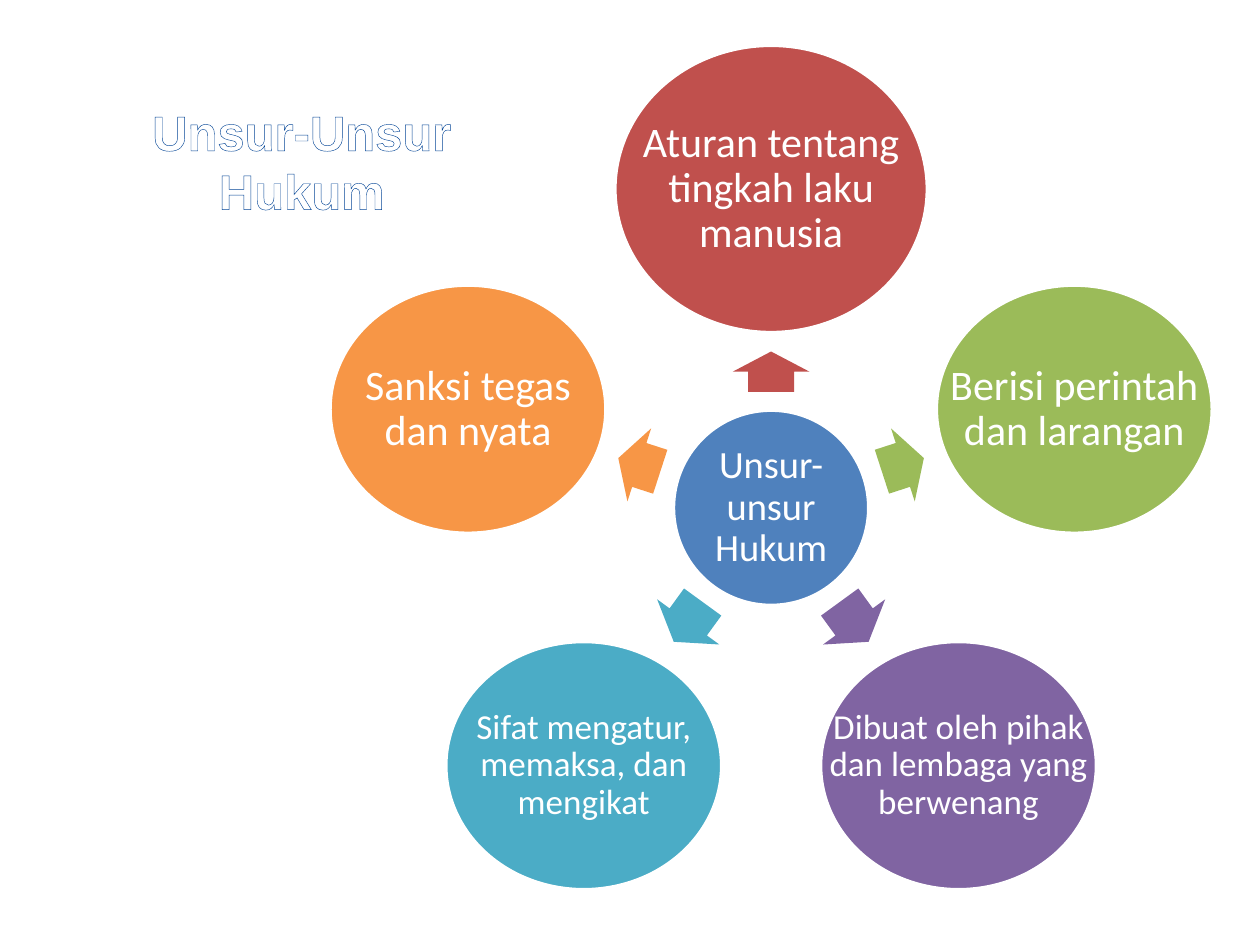
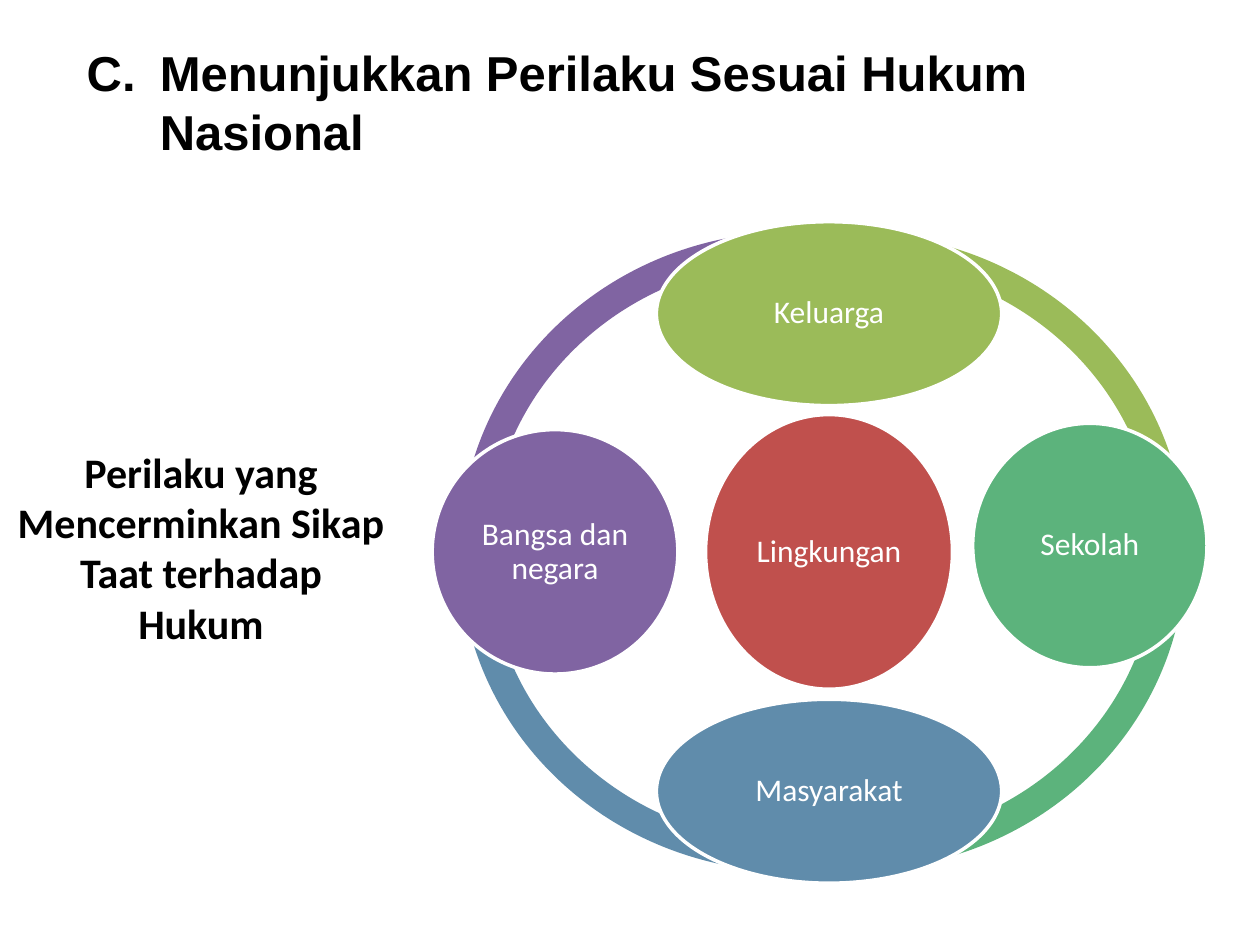
from math import cos, radians, sin

from lxml import etree
from pptx import Presentation
from pptx.dml.color import RGBColor
from pptx.enum.shapes import MSO_SHAPE as Shape
from pptx.enum.text import MSO_ANCHOR as Anchor, MSO_AUTO_SIZE as AutoSize, PP_ALIGN as Align
from pptx.oxml import parse_xml
from pptx.oxml.ns import nsdecls
from pptx.util import Inches, Pt

# Colours
WHITE = RGBColor(0xFF, 0xFF, 0xFF)
BLACK = RGBColor(0x00, 0x00, 0x00)
BLUE = RGBColor(0x4F, 0x81, 0xBD)
RED = RGBColor(0xC0, 0x50, 0x4D)
LIME = RGBColor(0x9B, 0xBB, 0x59)
PURPLE = RGBColor(0x80, 0x64, 0xA2)
AQUA = RGBColor(0x4B, 0xAC, 0xC6)
ORANGE = RGBColor(0xF7, 0x96, 0x46)
GREEN = RGBColor(0x5C, 0xB3, 0x7C)
STEEL = RGBColor(0x60, 0x8C, 0xAB)
OUTLINE = RGBColor(0x05, 0x46, 0x97)


def write(tf, text, size=18, font="Calibri", color=WHITE, bold=False,
          align=Align.CENTER, spacing=None, anchor=Anchor.MIDDLE, inset=None):
    """Fill a text frame with one formatted paragraph and return it."""
    tf.word_wrap = True
    tf.auto_size = AutoSize.NONE
    tf.vertical_anchor = anchor
    if inset is not None:
        tf.margin_left = tf.margin_right = tf.margin_top = tf.margin_bottom = Inches(inset)
    p = tf.paragraphs[0]
    p.alignment = align
    p.line_spacing = spacing
    r = p.add_run()
    r.text = text
    r.font.size, r.font.name, r.font.bold = Pt(size), font, bold
    r.font.color.rgb = color
    return p


class Deck:
    """Holds the presentation, the current slide and the shared style."""

    def __init__(self):
        self.prs = Presentation()
        self.prs.slide_width, self.prs.slide_height = Inches(10), Inches(7.5)
        self.s = None

    def slide(self):
        self.s = self.prs.slides.add_slide(self.prs.slide_layouts[5])

    def title(self, text, left, top, width, height, outline=None, **fmt):
        sp = self.s.shapes.title
        sp.left, sp.top = Inches(left), Inches(top)
        sp.width, sp.height = Inches(width), Inches(height)
        p = write(sp.text_frame, text, bold=True, **fmt)
        if outline is not None:
            ln = parse_xml(f'<a:ln {nsdecls("a")} w="{Pt(1)}"/>')
            fill = etree.SubElement(ln, ln.tag.replace("}ln", "}solidFill"))
            etree.SubElement(fill, ln.tag.replace("}ln", "}srgbClr"), val=str(outline))
            p.runs[0].font._element.insert(0, ln)

    def text(self, text, left, top, width, height, **fmt):
        sp = self.s.shapes.add_textbox(Inches(left), Inches(top), Inches(width), Inches(height))
        return write(sp.text_frame, text, **fmt)

    def shape(self, kind, color, left, top, width, height, adj=(), angle=0, edge=False):
        sp = self.s.shapes.add_shape(kind, Inches(left), Inches(top), Inches(width), Inches(height))
        sp.shadow.inherit = False
        sp.rotation = angle
        for i, value in enumerate(adj):
            sp.adjustments[i] = value
        sp.fill.solid()
        sp.fill.fore_color.rgb = color
        if edge:
            sp.line.color.rgb, sp.line.width = WHITE, Pt(2)
        else:
            sp.line.fill.background()

    def bubble(self, text, color, left, top, width, height, size=18):
        """White-edged ellipse with a label as wide as the ellipse."""
        self.shape(Shape.OVAL, color, left, top, width, height, edge=True)
        self.text(text, left, top, width, height, size=size, spacing=0.9, inset=0.03)


def legal_elements(deck):
    deck.slide()
    deck.title("Unsur-Unsur Hukum", 0.5, 0.3, 3.79, 1.95, size=28, font="Arial", outline=OUTLINE)

    # Hub
    hub_x, hub_y, hub_size, orbit = 6.12, 4.03, 1.55, 2.53
    deck.bubble("Unsur-unsur Hukum", BLUE, hub_x - hub_size / 2, hub_y - hub_size / 2,
                hub_size, hub_size, size=22)

    # Satellites, clockwise from the top: text, size, colour, ellipse, arrow length and distance
    satellites = [
        ("Aturan tentang tingkah laku manusia", 24, RED, 2.48, 2.28, 0.32, 1.08),
        ("Berisi perintah dan larangan", 24, LIME, 2.19, 1.97, 0.35, 1.10),
        ("Dibuat oleh pihak dan lembaga yang berwenang", 20, PURPLE, 2.19, 1.97, 0.39, 1.12),
        ("Sifat mengatur, memaksa, dan mengikat", 20, AQUA, 2.19, 1.97, 0.39, 1.12),
        ("Sanksi tegas dan nyata", 24, ORANGE, 2.19, 1.97, 0.35, 1.10),
    ]
    arrow_h = 0.61
    for i, (text, size, color, w, h, length, dist) in enumerate(satellites):
        angle = (270 + 72 * i) % 360
        dx, dy = cos(radians(angle)), sin(radians(angle))
        deck.shape(Shape.RIGHT_ARROW, color, hub_x + dist * dx - length / 2,
                   hub_y + dist * dy - arrow_h / 2, length, arrow_h, adj=(0.6, 0.5), angle=angle)
        deck.bubble(text, color, hub_x + orbit * dx - w / 2, hub_y + orbit * dy - h / 2,
                    w, h, size=size)


def lawful_behaviour(deck):
    deck.slide()

    # Ring: colour, left, top, start and end angle
    arcs = [
        (PURPLE, 3.65, 1.84, 107.615, 167.148),
        (STEEL, 3.65, 1.88, 48.852, 108.385),
        (GREEN, 4.12, 1.87, 214.833, 57.296),
        (LIME, 4.12, 1.85, 158.713, 215.148),
    ]
    for color, left, top, start, end in arcs:
        deck.shape(Shape.BLOCK_ARC, color, left, top, 5.29, 5.04, adj=(start, end, 0.046))

    # Environments
    deck.bubble("Lingkungan", RED, 5.6, 3.29, 1.96, 2.18)
    deck.bubble("Keluarga", LIME, 5.21, 1.76, 2.74, 1.46)
    deck.bubble("Sekolah", GREEN, 7.72, 3.36, 1.86, 1.94)
    deck.bubble("Masyarakat", STEEL, 5.21, 5.55, 2.74, 1.46)
    deck.bubble("Bangsa dan negara", PURPLE, 3.43, 3.41, 1.95, 1.94)

    # Title and section heading with hanging indent
    deck.title("Perilaku yang Mencerminkan Sikap Taat terhadap Hukum",
               0.02, 2.96, 3.15, 2.76, size=24, color=BLACK)
    p = deck.text("C.\tMenunjukkan Perilaku Sesuai Hukum Nasional", 0.59, 0.29, 9.06, 1.04,
                  size=28, font="Arial", color=BLACK, bold=True,
                  align=Align.LEFT, anchor=Anchor.TOP)
    pPr = p._p.get_or_add_pPr()
    pPr.set("marL", str(Inches(0.58)))
    pPr.set("indent", str(-Inches(0.58)))


def main():
    deck = Deck()
    legal_elements(deck)
    lawful_behaviour(deck)
    deck.prs.save("out.pptx")


if __name__ == "__main__":
    main()
